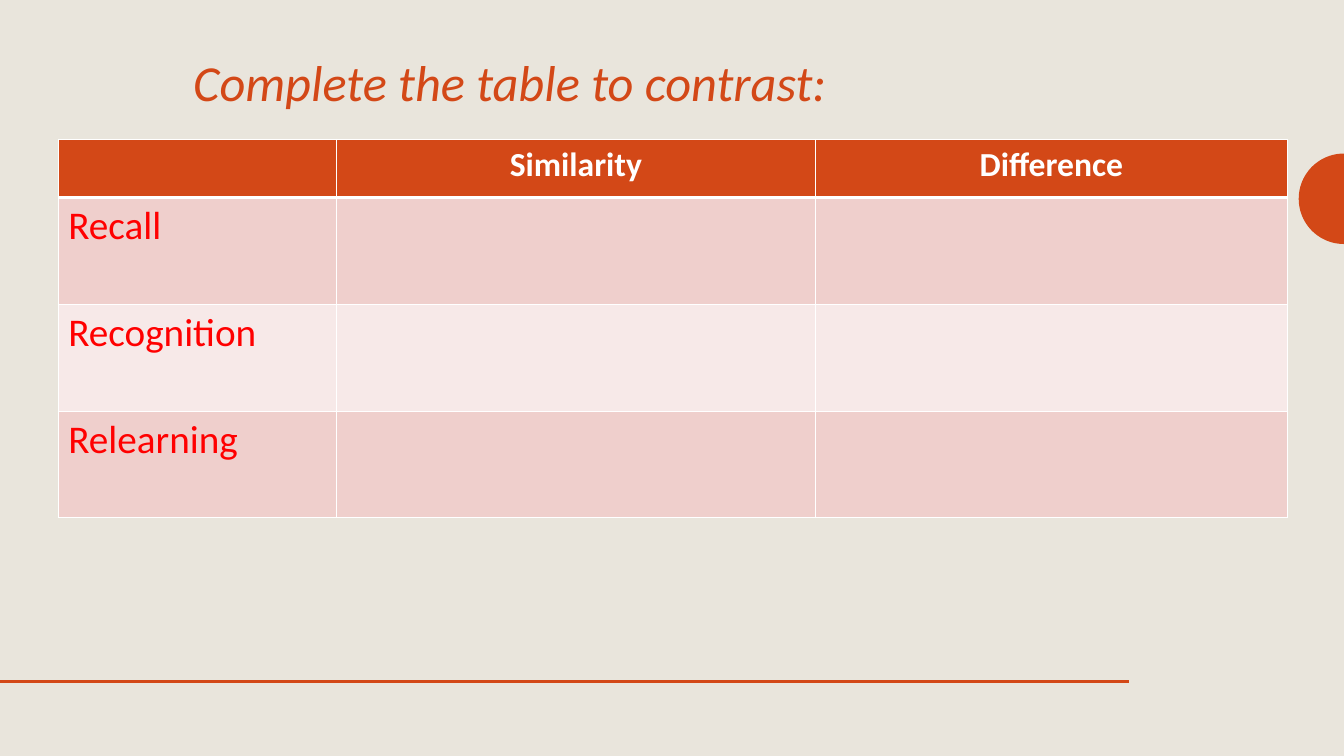
"""Builds a slide with a table for contrasting three kinds of remembering."""
from math import cos, pi, sin

from lxml.etree import SubElement
from pptx import Presentation
from pptx.dml.color import RGBColor
from pptx.enum.shapes import MSO_CONNECTOR
from pptx.enum.text import MSO_ANCHOR, PP_ALIGN
from pptx.oxml.ns import qn
from pptx.util import Cm, Pt

ORANGE = RGBColor(0xD3, 0x48, 0x17)
SAND = RGBColor(0xE9, 0xE5, 0xDC)
ROSE = RGBColor(0xEF, 0xCF, 0xCC)
PALE_ROSE = RGBColor(0xF7, 0xE9, 0xE8)
RED = RGBColor(0xFF, 0x00, 0x00)
WHITE = RGBColor(0xFF, 0xFF, 0xFF)
FONT = "Calibri"


def add_run(paragraph, text, size, color, bold=False, italic=False):
    run = paragraph.add_run()
    run.text = text
    run.font.name = FONT
    run.font.size = Pt(size)
    run.font.bold = bold
    run.font.italic = italic
    run.font.color.rgb = color


def add_border(cell, side, points):
    border = SubElement(cell._tc.get_or_add_tcPr(), qn(f"a:ln{side}"), w=str(Pt(points)))
    border_fill = SubElement(border, qn("a:solidFill"))
    SubElement(border_fill, qn("a:srgbClr"), val=str(WHITE))


presentation = Presentation()
presentation.slide_width = Cm(33.87)
presentation.slide_height = Cm(19.05)
slide = presentation.slides.add_slide(presentation.slide_layouts[6])
slide.background.fill.solid()
slide.background.fill.fore_color.rgb = SAND

center_x, center_y, radius = 33.87, 5.01, 1.14
steps = 48
arc = [
    (Cm(center_x - radius * sin(pi * step / steps)), Cm(center_y - radius * cos(pi * step / steps)))
    for step in range(steps + 1)
]
outline = slide.shapes.build_freeform(*arc[0])
outline.add_line_segments(arc[1:], close=True)
half_circle = outline.convert_to_shape()
half_circle.shadow.inherit = False
half_circle.fill.solid()
half_circle.fill.fore_color.rgb = ORANGE
half_circle.line.fill.background()

footer_rule = slide.shapes.add_connector(MSO_CONNECTOR.STRAIGHT, Cm(28.45), Cm(17.17), Cm(0), Cm(17.17))
footer_rule.line.color.rgb = ORANGE
footer_rule.line.width = Pt(2)
SubElement(footer_rule._element.spPr, qn("a:effectLst"))

instruction = slide.shapes.add_textbox(Cm(4.62), Cm(0.81), Cm(23.34), Cm(2.29)).text_frame
instruction.word_wrap = True
instruction.vertical_anchor = MSO_ANCHOR.MIDDLE
instruction.paragraphs[0].line_spacing = 1.13
add_run(instruction.paragraphs[0], "Complete the table to contrast:", 36, ORANGE, italic=True)

rows = [
    ["", "Similarity", "Difference"],
    ["Recall", "", ""],
    ["Recognition", "", ""],
    ["Relearning", "", ""],
]
column_widths = [7.01, 12.07, 11.89]
row_heights = [1.47] + [2.69] * 3
contrast = slide.shapes.add_table(
    len(rows), len(column_widths), Cm(1.47), Cm(3.51), Cm(sum(column_widths)), Cm(sum(row_heights))
).table
for column, width in zip(contrast.columns, column_widths):
    column.width = Cm(width)

for row_index, (labels, height) in enumerate(zip(rows, row_heights)):
    contrast.rows[row_index].height = Cm(height)
    is_header = row_index == 0
    row_color = ORANGE if is_header else ROSE if row_index % 2 else PALE_ROSE
    for column_index, label in enumerate(labels):
        cell = contrast.cell(row_index, column_index)
        add_border(cell, "L", 1)
        add_border(cell, "R", 1)
        add_border(cell, "T", 3 if row_index == 1 else 1)
        add_border(cell, "B", 3 if is_header else 1)
        cell.fill.solid()
        cell.fill.fore_color.rgb = row_color
        if label:
            paragraph = cell.text_frame.paragraphs[0]
            paragraph.alignment = PP_ALIGN.CENTER if is_header else PP_ALIGN.LEFT
            add_run(paragraph, label, 24 if is_header else 28, WHITE if is_header else RED, bold=is_header)

presentation.save("out.pptx")
